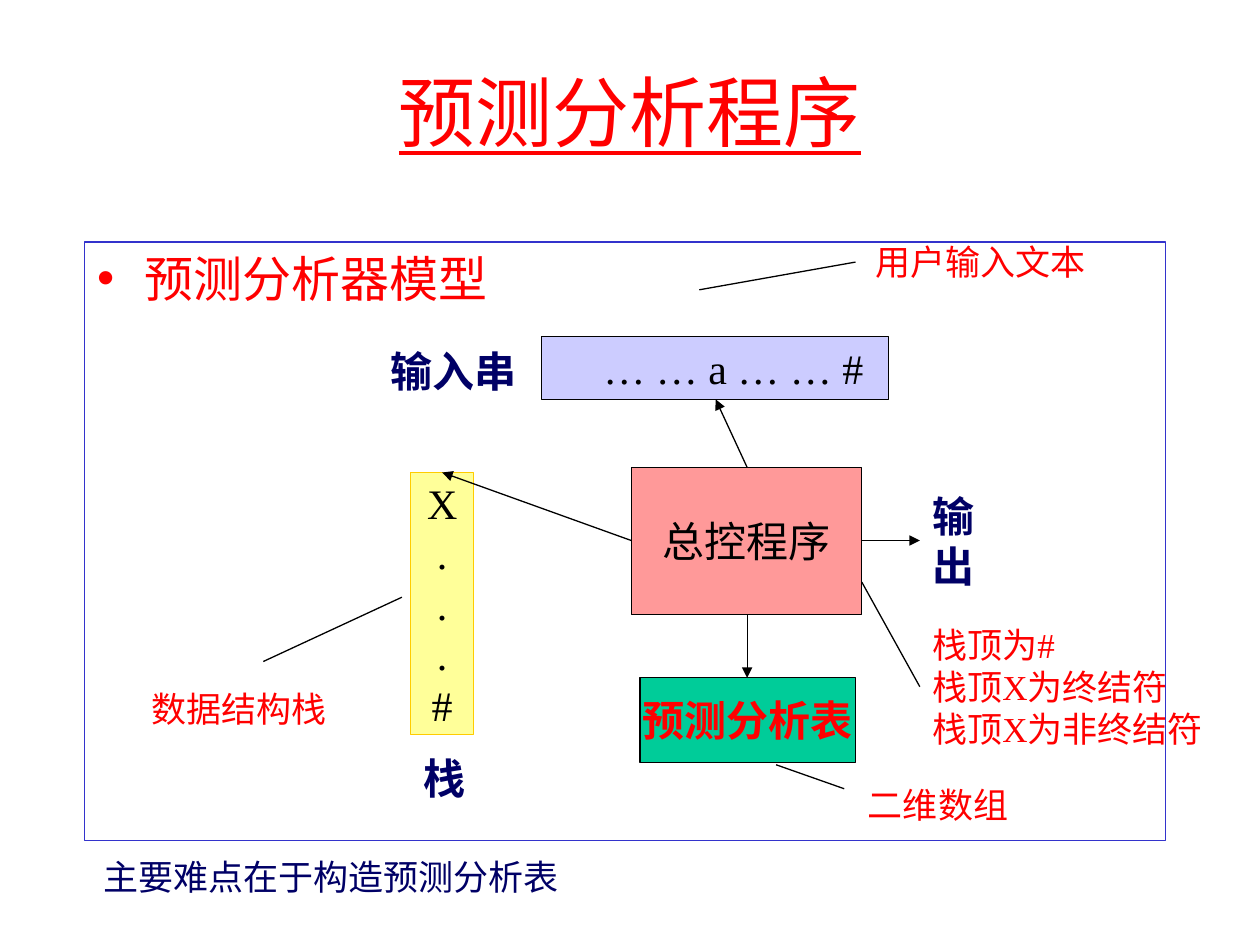
"""Build a slide showing the model of a predictive parser."""
import pptx
import pptx.util
import pptx.dml.color
import pptx.enum.shapes
import pptx.enum.text
import pptx.oxml
import pptx.oxml.ns
from pptx.util import Inches

COLORS = {
    "red": "FF0000", "navy": "000066", "black": "000000", "frame": "3333CC",
    "control": "FF9999", "table": "00CC99", "input": "CCCCFF",
    "stack": "FFFF99", "stack_edge": "FFCC00",
}
SERIF = "Times New Roman"
LABEL_FONT = "Montserrat"
ALIGN = pptx.enum.text.PP_ALIGN
ANCHOR = pptx.enum.text.MSO_ANCHOR


def color(name):
    """Return the named colour as an RGBColor."""
    return pptx.dml.color.RGBColor.from_string(COLORS[name])


def place(shape, left, top, width, height):
    """Move and size a shape, in inches."""
    shape.left, shape.top = Inches(left), Inches(top)
    shape.width, shape.height = Inches(width), Inches(height)


def write_text(shape, text, size=20, tint="red", font=SERIF, bold=False, underline=False,
               align=ALIGN.LEFT, anchor=ANCHOR.TOP, wrap=True, left_inset=0.1):
    """Fill a shape with one paragraph per line of text."""
    frame = shape.text_frame
    frame.text = text
    frame.auto_size = pptx.enum.text.MSO_AUTO_SIZE.NONE
    frame.word_wrap = wrap
    frame.vertical_anchor = anchor
    frame.margin_left = Inches(left_inset)
    for paragraph in frame.paragraphs:
        paragraph.alignment = align
        paragraph.space_before = pptx.util.Pt(0)
        for run in paragraph.runs:
            run.font.size = pptx.util.Pt(size)
            run.font.name = font
            run.font.bold = bold
            run.font.underline = underline
            run.font.color.rgb = color(tint)


def set_line(shape, tint):
    """Give a shape or connector a thin line."""
    shape.line.color.rgb = color(tint)
    shape.line.width = pptx.util.Pt(0.75)


def add_bullet(paragraph, tint, indent):
    """Add a coloured round bullet with a hanging indent."""
    properties = paragraph._p.get_or_add_pPr()
    properties.set("marL", str(Inches(indent)))
    properties.set("indent", str(Inches(-indent)))
    namespace = pptx.oxml.ns.nsdecls("a")
    for element in (f'<a:buClr {namespace}><a:srgbClr val="{COLORS[tint]}"/></a:buClr>',
                    f'<a:buChar {namespace} char="•"/>'):
        properties.append(pptx.oxml.parse_xml(element))


def add_box(slide, text, bounds, fill, edge="black", **text_format):
    """Add a filled rectangle with centred text."""
    shape = slide.shapes.add_shape(
        pptx.enum.shapes.MSO_SHAPE.RECTANGLE, *map(Inches, bounds))
    shape.shadow.inherit = False
    shape.fill.solid()
    shape.fill.fore_color.rgb = color(fill)
    set_line(shape, edge)
    write_text(shape, text, size=24, align=ALIGN.CENTER, anchor=ANCHOR.MIDDLE, **text_format)


def add_label(slide, text, bounds, **text_format):
    """Add a text box."""
    write_text(slide.shapes.add_textbox(*map(Inches, bounds)), text, **text_format)


def add_line(slide, start, end, arrow=False):
    """Add a straight line, with an arrowhead at its end if wanted."""
    connector = slide.shapes.add_connector(
        pptx.enum.shapes.MSO_CONNECTOR.STRAIGHT, *map(Inches, start + end))
    set_line(connector, "black")
    namespace = pptx.oxml.ns.nsdecls("a")
    if arrow:
        connector.line._get_or_add_ln().append(
            pptx.oxml.parse_xml(f'<a:tailEnd {namespace} type="triangle"/>'))
    connector._element.spPr.append(pptx.oxml.parse_xml(f"<a:effectLst {namespace}/>"))


def main():
    """Build and save the slide."""
    presentation = pptx.Presentation()
    presentation.slide_width, presentation.slide_height = Inches(10), Inches(7.5)
    slide = presentation.slides.add_slide(presentation.slide_layouts[1])

    title, body = slide.placeholders
    place(title, 0.75, 0.42, 8.5, 0.92)
    write_text(title, "预测分析程序", size=44, underline=True,
               align=ALIGN.CENTER, anchor=ANCHOR.MIDDLE)
    place(body, 0.67, 1.92, 8.58, 4.75)
    set_line(body, "frame")
    write_text(body, "预测分析器模型", size=28)
    add_bullet(body.text_frame.paragraphs[0], "red", 0.38)

    add_box(slide, "总控程序", (5.01, 3.71, 1.83, 1.17), "control", tint="black", wrap=False)
    add_box(slide, "预测分析表", (5.08, 5.38, 1.71, 0.67), "table", bold=True, wrap=False)
    add_box(slide, "… … a … … #", (4.3, 2.67, 2.75, 0.5), "input", tint="black", left_inset=0.39)
    add_box(slide, "X\n.\n.\n.\n#", (3.26, 3.75, 0.5, 2.08), "stack", "stack_edge",
            tint="black", wrap=False)

    for text, bounds in (
        ("栈", (3.26, 5.92, 0.5, 0.5)),
        ("输入串", (3, 2.69, 1.21, 0.5)),
        ("输出", (7.3, 3.84, 0.38, 0.9)),
    ):
        add_label(slide, text, bounds, size=24, tint="navy", font=LABEL_FONT, bold=True)

    for text, bounds in (
        ("用户输入文本", (6.85, 1.86, 1.87, 0.44)),
        ("数据结构栈", (1.1, 5.41, 1.59, 0.44)),
        ("二维数组", (6.79, 6.17, 1.31, 0.44)),
        ("栈顶为#\n栈顶X为终结符\n栈顶X为非终结符", (7.3, 4.9, 2.58, 1.1)),
    ):
        add_label(slide, text, bounds, wrap="\n" in text)
    add_label(slide, "主要难点在于构造预测分析表", (0.72, 6.74, 3.82, 0.44),
              tint="navy", wrap=False)

    for start, end in (
        ((5.93, 3.71), (5.68, 3.17)),
        ((5.93, 4.88), (5.93, 5.38)),
        ((6.84, 4.29), (7.3, 4.29)),
        ((5.01, 4.29), (3.51, 3.75)),
    ):
        add_line(slide, start, end, arrow=True)
    for start, end in (
        ((5.55, 2.3), (6.79, 2.08)),
        ((3.19, 4.74), (2.09, 5.25)),
        ((6.16, 6.07), (6.7, 6.26)),
        ((6.84, 4.62), (7.3, 5.45)),
    ):
        add_line(slide, start, end)

    presentation.save("out.pptx")


if __name__ == "__main__":
    main()
